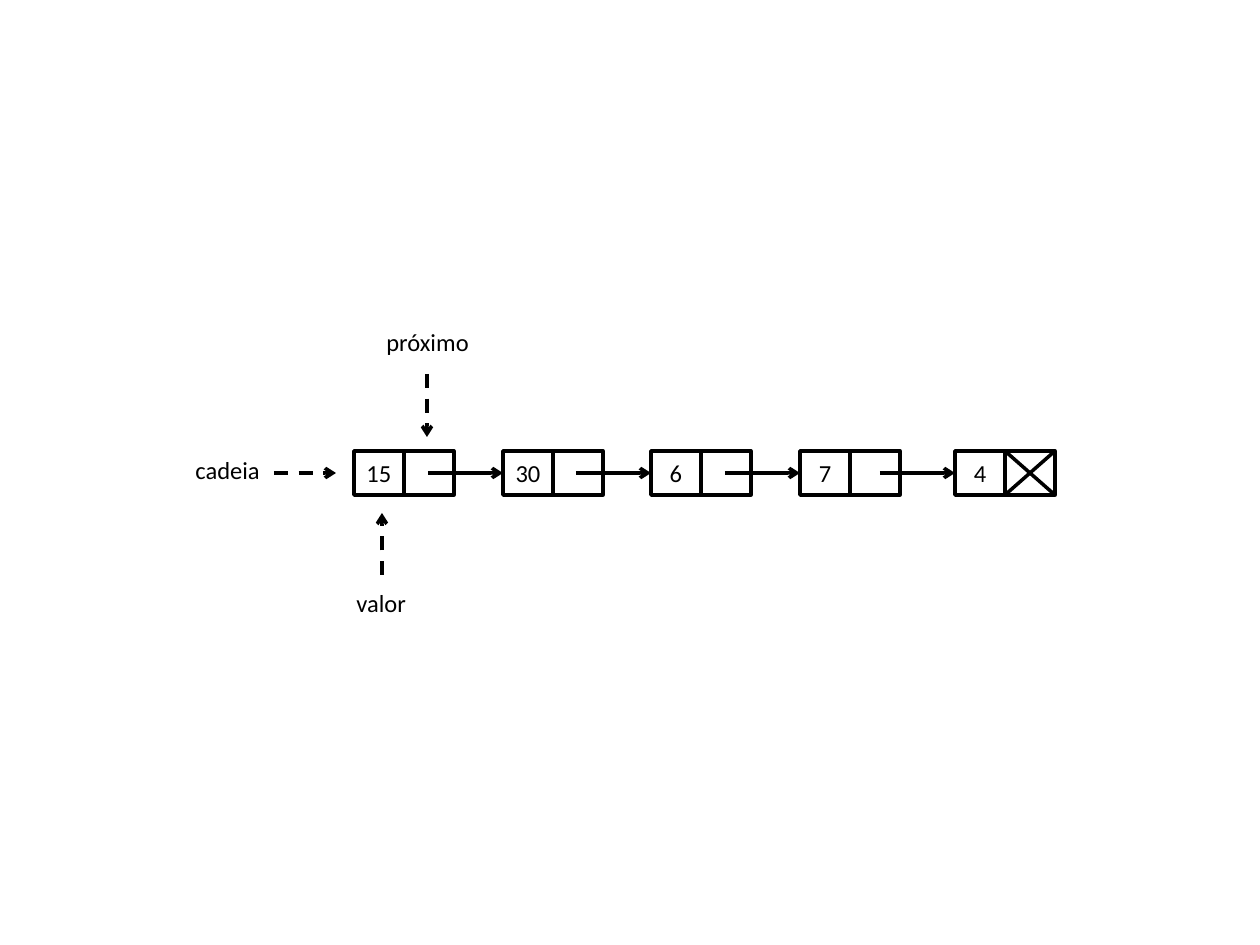
from lxml import etree
from pptx import Presentation
from pptx.dml.color import RGBColor
from pptx.enum.dml import MSO_LINE
from pptx.enum.shapes import MSO_CONNECTOR, MSO_SHAPE
from pptx.enum.text import MSO_ANCHOR, MSO_AUTO_SIZE, PP_ALIGN
from pptx.oxml.ns import qn
from pptx.util import Inches, Pt

RECT, STRAIGHT, DASH = MSO_SHAPE.RECTANGLE, MSO_CONNECTOR.STRAIGHT, MSO_LINE.DASH
CENTER, LEFT = PP_ALIGN.CENTER, PP_ALIGN.LEFT
MIDDLE, TOP = MSO_ANCHOR.MIDDLE, MSO_ANCHOR.TOP
GROW, FIXED = MSO_AUTO_SIZE.SHAPE_TO_FIT_TEXT, MSO_AUTO_SIZE.NONE
COLORS = {"ink": "000000", "paper": "FFFFFF"}
FONT = {"name": "Calibri", "size": Pt(14)}
CELL_FRAME = {"word_wrap": True, "auto_size": FIXED, "vertical_anchor": MIDDLE,
              "margin_left": 0, "margin_right": 0}
LABEL_FRAME = {"word_wrap": False, "auto_size": GROW, "vertical_anchor": TOP}


def px(n):
    return round(n * Inches(1) / 126)


def rgb(name):
    return RGBColor.from_string(COLORS[name])


def apply(target, values):
    for name, value in values.items():
        setattr(target, name, value)


class Diagram:
    """Draws linked-list elements on one slide in a shared style."""

    def __init__(self, slide):
        self.shapes = slide.shapes

    def stroke(self, line):
        line.color.rgb = rgb("ink")
        line.width = Pt(2)

    def text(self, s, text, frame, align):
        tf = s.text_frame
        apply(tf, frame)
        p = tf.paragraphs[0]
        p.alignment = align
        r = p.add_run()
        r.text = text
        apply(r.font, FONT)
        r.font.color.rgb = rgb("ink")

    def cell(self, x, y, w, h, text=""):
        s = self.shapes.add_shape(RECT, px(x), px(y), px(w), px(h))
        s.shadow.inherit = False
        s.fill.solid()
        s.fill.fore_color.rgb = rgb("paper")
        self.stroke(s.line)
        if text:
            self.text(s, text, CELL_FRAME, CENTER)

    def label(self, x, y, w, h, text):
        s = self.shapes.add_textbox(px(x), px(y), px(w), px(h))
        s.fill.solid()
        s.fill.fore_color.rgb = rgb("paper")
        self.text(s, text, LABEL_FRAME, LEFT)

    def line(self, x1, y1, x2, y2, arrow=False, dashed=False):
        c = self.shapes.add_connector(STRAIGHT, px(x1), px(y1), px(x2), px(y2))
        self.stroke(c.line)
        if dashed:
            c.line.dash_style = DASH
        props = c._element.spPr
        if arrow:
            etree.SubElement(props.find(qn("a:ln")), qn("a:tailEnd"), type="arrow")
        etree.SubElement(props, qn("a:effectLst"))


prs = Presentation()
prs.slide_width, prs.slide_height = Inches(10), Inches(7.5)
d = Diagram(prs.slides.add_slide(prs.slide_layouts[6]))

CELL_W, CELL_H, ROW_Y, LINK_Y, LINK_W = 50, 44, 451, 473, 75
nodes = [(354, "15"), (503, "30"), (651, "6"), (800, "7"), (955, "4")]
for x, value in nodes:
    d.cell(x, ROW_Y, CELL_W, CELL_H, value)
    d.cell(x + CELL_W, ROW_Y, CELL_W, CELL_H)

end_x = nodes[-1][0] + CELL_W
d.line(end_x + CELL_W, ROW_Y, end_x, ROW_Y + CELL_H)
d.line(end_x, ROW_Y, end_x + CELL_W, ROW_Y + CELL_H)

for x, value in nodes[1:]:
    d.line(x - LINK_W, LINK_Y, x, LINK_Y, arrow=True)

pointers = [
    ("valor", (344, 582, 77, 43), (382, 575, 382, 513)),
    ("próximo", (374, 321, 110, 43), (427, 374, 427, 437)),
    ("cadeia", (183, 449, 91, 43), (274, LINK_Y, 336, LINK_Y)),
]
for text, box, ends in pointers:
    d.label(*box, text)
    d.line(*ends, arrow=True, dashed=True)

prs.save("out.pptx")
